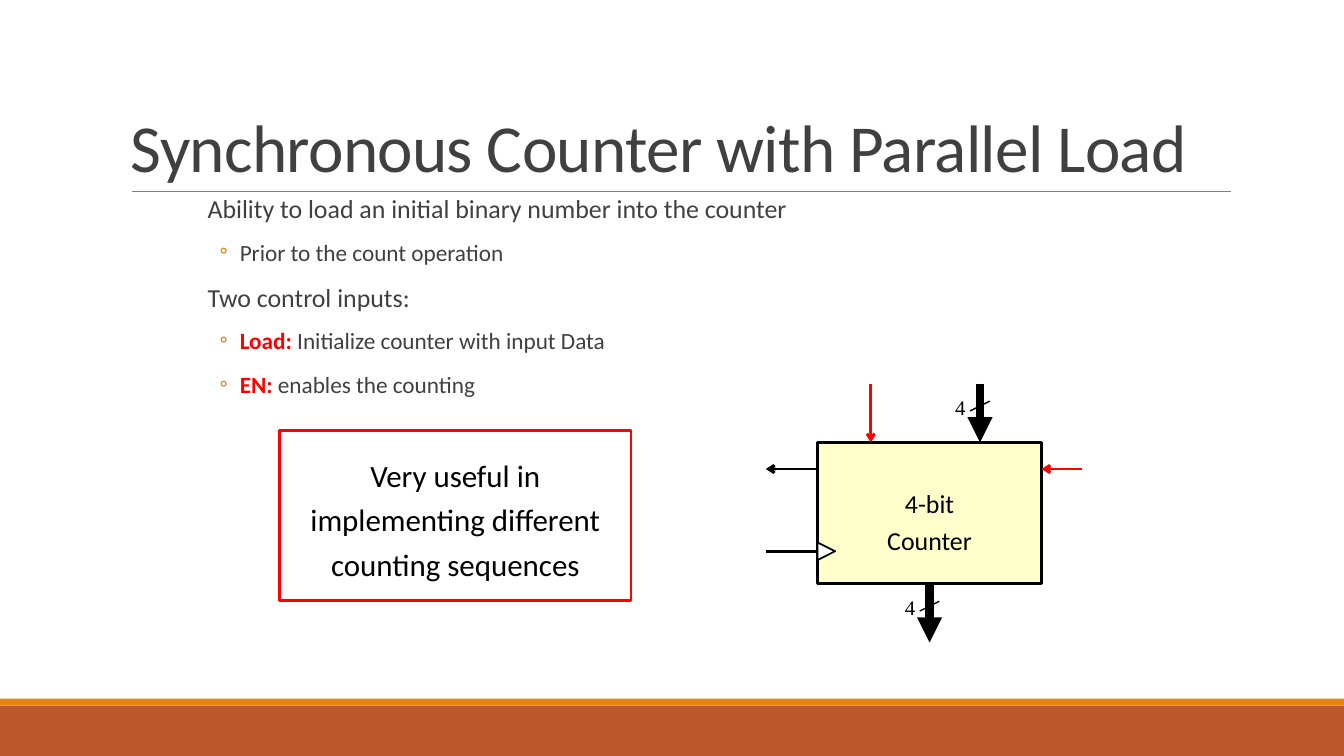
from lxml import etree
from pptx import Presentation
from pptx.dml.color import RGBColor
from pptx.enum import shapes, text
from pptx.oxml import ns
from pptx.util import Pt

COLORS = {
    "ink": "404040", "black": "000000", "red": "FF0000", "white": "FFFFFF",
    "cream": "FFFFCC", "orange": "E48312", "rust": "BD582C", "gray": "808080",
}
BODY = [
    (0, [("Ability to load an initial binary number into the counter", "ink")]),
    (1, [("Prior to the count operation", "ink")]),
    (0, [("Two control inputs:", "ink")]),
    (1, [("Load:", "red"), (" Initialize counter with input Data", "ink")]),
    (1, [("EN:", "red"), (" enables the counting", "ink")]),
]
CHIP_LEFT, CHIP_TOP, CHIP_WIDTH, CHIP_HEIGHT = 584, 316, 160, 101
CHIP_RIGHT = CHIP_LEFT + CHIP_WIDTH
CHIP_BOTTOM = CHIP_TOP + CHIP_HEIGHT
ARROW_LENGTH = 42


def rgb(name):
    return RGBColor.from_string(COLORS[name])


def add_span(para, words, size, color, font="Calibri", bold=False):
    span = para.add_run()
    span.text = words
    span.font.name = font
    span.font.size = Pt(size)
    span.font.bold = bold
    span.font.color.rgb = rgb(color)
    return span


def set_frame(frame, anchor, insets, wrap=True):
    frame.word_wrap = wrap
    frame.vertical_anchor = anchor
    (frame.margin_left, frame.margin_top,
     frame.margin_right, frame.margin_bottom) = [Pt(inset) for inset in insets]


def add_text_box(page, place, anchor, insets, wrap=True):
    box = page.shapes.add_textbox(*[Pt(length) for length in place])
    set_frame(box.text_frame, anchor, insets, wrap)
    return box.text_frame


def add_block(page, kind, place, fill=None, line=None, weight=2):
    block = page.shapes.add_shape(kind, *[Pt(length) for length in place])
    block.shadow.inherit = False
    if fill:
        block.fill.solid()
        block.fill.fore_color.rgb = rgb(fill)
    else:
        block.fill.background()
    if line:
        block.line.color.rgb = rgb(line)
        block.line.width = Pt(weight)
    else:
        block.line.fill.background()
    return block


def fill_block(block, lines, size, insets):
    frame = block.text_frame
    set_frame(frame, text.MSO_ANCHOR.MIDDLE, insets)
    for index, words in enumerate(lines):
        para = frame.add_paragraph() if index else frame.paragraphs[0]
        para.alignment = text.PP_ALIGN.CENTER
        para.line_spacing = 1.2
        add_span(para, words, size, "black")


def add_line(page, start, end, color="black", weight=2, arrow=None):
    line = page.shapes.add_connector(
        shapes.MSO_CONNECTOR.STRAIGHT, *[Pt(length) for length in start + end])
    line.line.color.rgb = rgb(color)
    line.line.width = Pt(weight)
    if arrow:
        etree.SubElement(line.line._get_or_add_ln(), ns.qn("a:tailEnd"), type=arrow)
    etree.SubElement(line._element.spPr, ns.qn("a:effectLst"))


def add_bullet(para):
    props = para._p.get_or_add_pPr()
    props.set("marL", str(Pt(30.2)))
    props.set("indent", str(-Pt(14.4)))
    color = etree.SubElement(props, ns.qn("a:buClr"))
    etree.SubElement(color, ns.qn("a:srgbClr"), val=COLORS["orange"])
    etree.SubElement(props, ns.qn("a:buFont"), typeface="Calibri")
    etree.SubElement(props, ns.qn("a:buChar"), char="◦")


def add_title(page, words):
    frame = add_text_box(page, (86.4, 22.3, 792, 114.5),
                         text.MSO_ANCHOR.BOTTOM, (7.2, 3.6, 7.2, 3.6))
    para = frame.paragraphs[0]
    para.line_spacing = 0.85
    span = add_span(para, words, 48, "ink")
    span._r.get_or_add_rPr().set("spc", "-50")


def add_body(page):
    frame = add_text_box(page, (141.1, 140.4, 584, 159),
                         text.MSO_ANCHOR.TOP, (0, 3.6, 0, 3.6))
    for index, (level, spans) in enumerate(BODY):
        para = frame.add_paragraph() if index else frame.paragraphs[0]
        para.level = level
        if level:
            add_bullet(para)
        else:
            para._p.get_or_add_pPr().set("marL", str(Pt(7.2)))
        para.line_spacing = 0.7
        para.space_before = Pt(13.8 if index else 0)
        para.space_after = Pt(4 if level else 2)
        for words, color in spans:
            add_span(para, words, 16.6 if level else 18.5, color, bold=color == "red")


def add_bus(page, x, top):
    add_line(page, (x, top), (x, top + ARROW_LENGTH), weight=6, arrow="triangle")
    add_line(page, (x + 7, top + 12.5), (x - 7, top + 19.5), weight=1)
    frame = add_text_box(page, (x - 19, top + 6.5, 10, 21),
                         text.MSO_ANCHOR.MIDDLE, (0, 0, 0, 0), wrap=False)
    para = frame.paragraphs[0]
    para.alignment = text.PP_ALIGN.CENTER
    add_span(para, "4", 14.8, "black", font="Times New Roman")


def add_counter(page):
    chip = add_block(page, shapes.MSO_SHAPE.RECTANGLE,
                     (CHIP_LEFT, CHIP_TOP, CHIP_WIDTH, CHIP_HEIGHT), "cream", "black")
    fill_block(chip, ["4-bit", "Counter"], 18.5, (0, 8, 0, 0))
    clock = add_block(page, shapes.MSO_SHAPE.ISOSCELES_TRIANGLE,
                      (CHIP_LEFT, 387.5, 12.5, 12.5), "white", "black", 1.25)
    clock.rotation = 90
    add_bus(page, CHIP_LEFT + CHIP_WIDTH / 2, CHIP_BOTTOM)
    add_bus(page, 700, CHIP_TOP - ARROW_LENGTH)
    add_line(page, (CHIP_LEFT, 335), (547, 335), arrow="arrow")
    add_line(page, (773, 335), (CHIP_RIGHT, 335), "red", arrow="arrow")
    add_line(page, (622, CHIP_TOP - ARROW_LENGTH), (622, CHIP_TOP), "red", arrow="arrow")
    add_line(page, (547, 393.7), (CHIP_LEFT, 393.7))


def main():
    deck = Presentation()
    deck.slide_width, deck.slide_height = Pt(960), Pt(540)
    page = deck.slides.add_slide(deck.slide_layouts[6])
    add_block(page, shapes.MSO_SHAPE.RECTANGLE, (0, 504, 960, 36), "rust")
    add_block(page, shapes.MSO_SHAPE.RECTANGLE, (0, 499, 960, 5), "orange")
    add_line(page, (94.3, 136.8), (879, 136.8), "gray", 0.5)
    add_title(page, "Synchronous Counter with Parallel Load")
    add_body(page)
    add_counter(page)
    note = add_block(page, shapes.MSO_SHAPE.RECTANGLE,
                     (199.5, 307.4, 251.3, 121.7), line="red")
    fill_block(note, ["Very useful in implementing different counting sequences"],
               22.1, (7.2, 3.6, 7.2, 3.6))
    deck.save("out.pptx")


if __name__ == "__main__":
    main()
